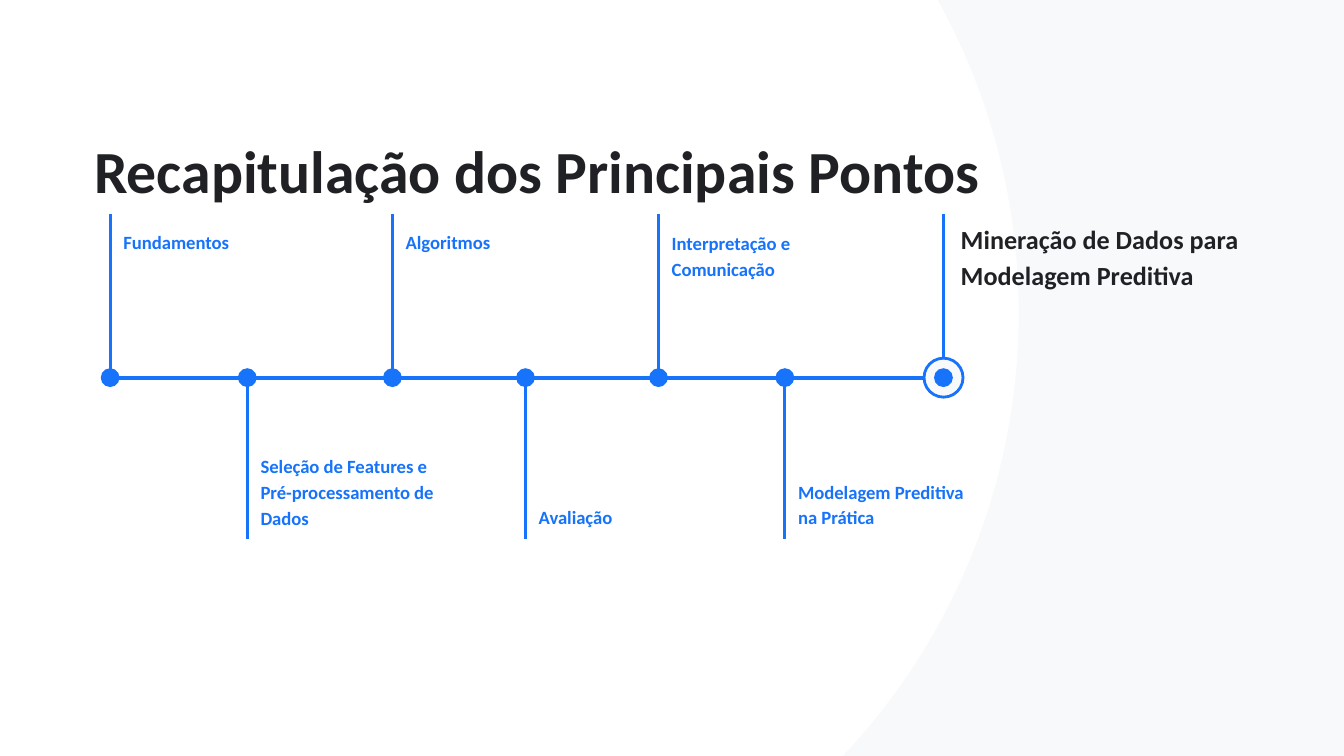
from lxml import etree
from pptx import Presentation
from pptx.dml.color import RGBColor
from pptx.enum.shapes import MSO_CONNECTOR, MSO_SHAPE
from pptx.enum.text import MSO_ANCHOR, MSO_AUTO_SIZE, PP_ALIGN
from pptx.oxml.ns import qn
from pptx.util import Inches, Pt

BLUE = RGBColor(0x16, 0x73, 0xFA)
DARK = RGBColor(0x20, 0x21, 0x24)
PALE = RGBColor(0xF7, 0xF9, 0xFB)
WHITE = RGBColor(0xFF, 0xFF, 0xFF)

TITLE = "Recapitulação dos Principais Pontos"
# Stem x, label, label width, label line count; stems alternate up and down
TOPICS = [
    (0.82, "Fundamentos", 1.12, 1),
    (1.84, "Seleção de Features e Pré-processamento de Dados", 1.59, 3),
    (2.92, "Algoritmos", 1.26, 1),
    (3.91, "Avaliação", 1.12, 1),
    (4.9, "Interpretação e Comunicação", 1.2, 2),
    (5.84, "Modelagem Preditiva na Prática", 1.49, 2),
]
GOAL_X, GOAL = 7.02, "Mineração de Dados para Modelagem Preditiva"

AXIS_Y = 2.81
STEM_TOP, STEM_BOTTOM = 1.59, 4.01
DOT, RING = 0.14, 0.29
LABEL_STYLE = {"name": "Calibri", "size": Pt(10), "bold": True}
GOAL_STYLE = LABEL_STYLE | {"size": Pt(14)}
TITLE_STYLE = LABEL_STYLE | {"size": Pt(32)}


def add_circle(slide, x, y, diameter, fill, outline=None):
    """Draw a circle centred on x, y."""
    circle = slide.shapes.add_shape(
        MSO_SHAPE.OVAL, Inches(x - diameter / 2), Inches(y - diameter / 2),
        Inches(diameter), Inches(diameter))
    circle.shadow.inherit = False
    circle.fill.solid()
    circle.fill.fore_color.rgb = fill
    if outline is None:
        circle.line.fill.background()
    else:
        circle.line.color.rgb = outline
        circle.line.width = Pt(1.5)


def add_line(slide, x1, y1, x2, y2, width=1.5):
    line = slide.shapes.add_connector(
        MSO_CONNECTOR.STRAIGHT, *map(Inches, (x1, y1, x2, y2)))
    line.line.color.rgb = BLUE
    line.line.width = Pt(width)
    etree.SubElement(line._element.spPr, qn("a:effectLst"))


def write(box, text, style, color, spacing, auto_size):
    frame = box.text_frame
    frame.text = text
    frame_format = {"word_wrap": True, "auto_size": auto_size,
                    "vertical_anchor": MSO_ANCHOR.TOP}
    for side in ("left", "top", "right", "bottom"):
        frame_format[f"margin_{side}"] = Inches(0.1)
    for key, value in frame_format.items():
        setattr(frame, key, value)
    para = frame.paragraphs[0]
    para.alignment = PP_ALIGN.LEFT
    para.line_spacing = spacing
    font = para.runs[0].font
    for key, value in style.items():
        setattr(font, key, value)
    font.color.rgb = color


def add_label(slide, place, text, style, color):
    box = slide.shapes.add_textbox(*map(Inches, place))
    write(box, text, style, color, 1.15, MSO_AUTO_SIZE.SHAPE_TO_FIT_TEXT)


def main():
    deck = Presentation()
    deck.slide_width = Inches(10)
    deck.slide_height = Inches(10 * 9 / 16)
    slide = deck.slides.add_slide(deck.slide_layouts[5])
    slide.background.fill.solid()
    slide.background.fill.fore_color.rgb = PALE

    add_circle(slide, 2.78, 2.33, 9.6, WHITE)
    add_line(slide, 0.75, AXIS_Y, 6.95, AXIS_Y, 2.25)

    title = slide.shapes.title
    slide.shapes._spTree.append(title._element)  # bring in front of the disc
    title.left, title.top, title.width, title.height = map(
        Inches, (0.6, 0.63, 8.85, 0.8))
    write(title, TITLE, TITLE_STYLE, DARK, 1.5, MSO_AUTO_SIZE.NONE)

    for index, (x, text, width, lines) in enumerate(TOPICS):
        height = 0.18 + 0.19 * lines
        upward = index % 2 == 0
        stem_end = STEM_TOP if upward else STEM_BOTTOM
        label_top = STEM_TOP + 0.01 if upward else STEM_BOTTOM - height
        add_line(slide, x, AXIS_Y, x, stem_end)
        add_circle(slide, x, AXIS_Y, DOT, BLUE)
        add_label(slide, (x, label_top, width, height), text, LABEL_STYLE, BLUE)

    add_line(slide, GOAL_X, STEM_TOP, GOAL_X, AXIS_Y - RING / 2)
    add_circle(slide, GOAL_X, AXIS_Y, RING, PALE, BLUE)
    add_circle(slide, GOAL_X, AXIS_Y, DOT, BLUE)
    add_label(slide, (GOAL_X + 0.03, 1.53, 2.45, 0.71), GOAL, GOAL_STYLE, DARK)

    deck.save("out.pptx")


if __name__ == "__main__":
    main()
